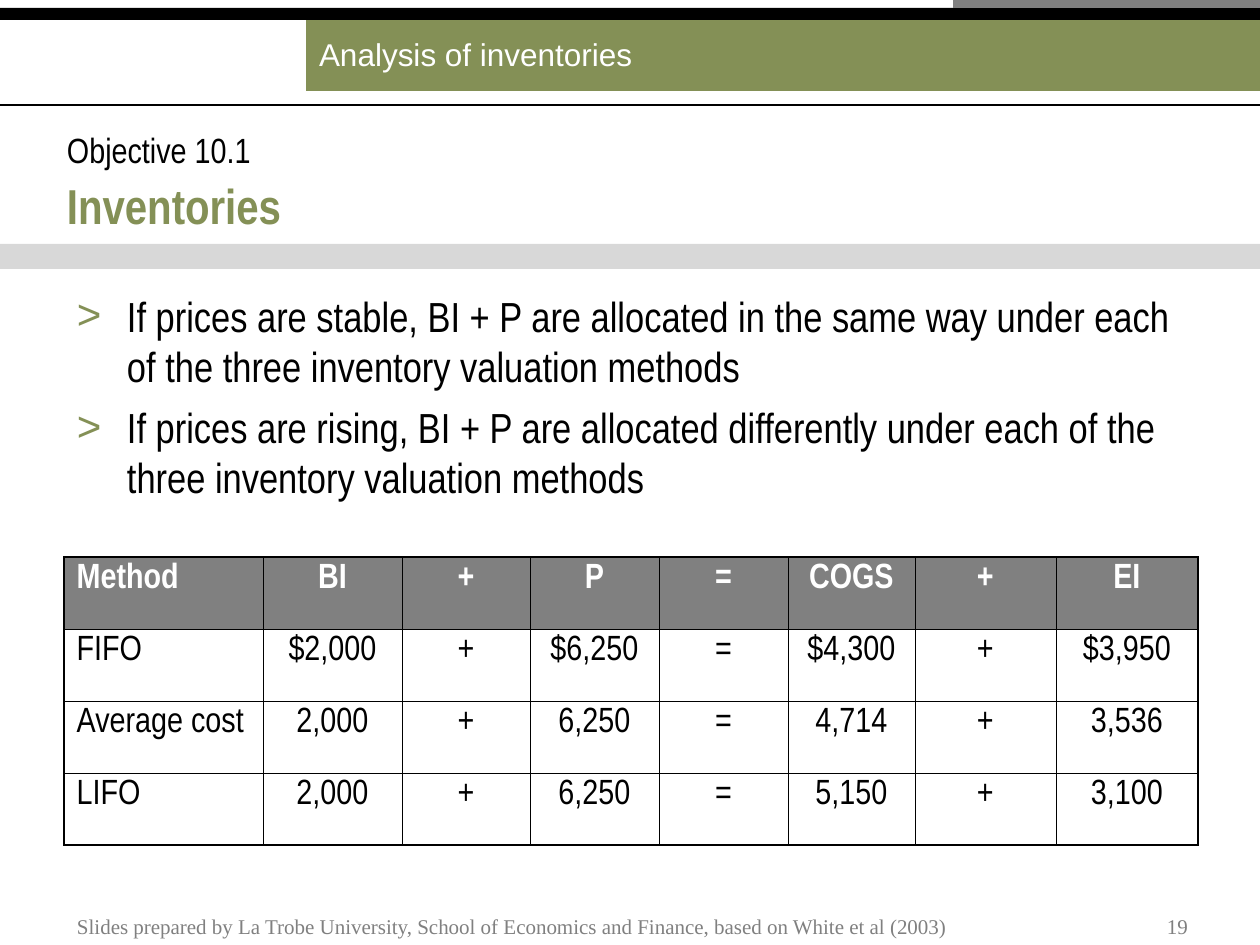
from lxml.etree import SubElement
from pptx import Presentation
from pptx.dml.color import RGBColor
from pptx.enum.shapes import MSO_CONNECTOR, MSO_SHAPE
from pptx.enum.text import MSO_ANCHOR, MSO_AUTO_SIZE, PP_ALIGN
from pptx.oxml.ns import qn
from pptx.util import Emu, Pt

COLORS = {"olive": "849056", "grey": "808080", "black": "000000", "white": "FFFFFF"}
NARROW, SANS, SERIF = "Arial Narrow", "Arial", "Times New Roman"
OUTER, INNER = 1.08, 0.45


def px(n):
    return Emu(round(n * 914400 / 126))


def rgb(name):
    return RGBColor.from_string(COLORS[name])


class SlideBuilder:
    def __init__(self, slide):
        self.slide = slide

    def place(self, sp, x, y, w, h):
        sp.left, sp.top, sp.width, sp.height = px(x), px(y), px(w), px(h)

    def style(self, p, font, size, color, bold=False, align=PP_ALIGN.LEFT):
        p.alignment = align
        for r in p.runs:
            r.font.name, r.font.size, r.font.bold = font, Pt(size), bold
            r.font.color.rgb = rgb(color)

    def frame(self, tf, inset, anchor):
        tf.word_wrap = True
        tf.auto_size = MSO_AUTO_SIZE.NONE
        tf.vertical_anchor = anchor
        tf.margin_left = tf.margin_right = px(inset[0])
        tf.margin_top = tf.margin_bottom = px(inset[1])

    def rect(self, x, y, w, h, color, alpha=None):
        sp = self.slide.shapes.add_shape(MSO_SHAPE.RECTANGLE, px(x), px(y), px(w), px(h))
        sp.shadow.inherit = False
        sp.fill.solid()
        sp.fill.fore_color.rgb = rgb(color)
        sp.line.fill.background()
        if alpha:
            clr = sp._element.spPr.find(qn("a:solidFill"))[0]
            SubElement(clr, qn("a:alpha"), val=str(alpha * 1000))
        return sp

    def line(self, x1, x2, y, color, width):
        cn = self.slide.shapes.add_connector(MSO_CONNECTOR.STRAIGHT, px(x1), px(y), px(x2), px(y))
        cn.line.color.rgb = rgb(color)
        cn.line.width = Pt(width)
        SubElement(cn._element.spPr, qn("a:effectLst"))

    def label(self, sp, text, *style, inset=(13, 6), anchor=MSO_ANCHOR.MIDDLE, **kw):
        tf = sp.text_frame
        self.frame(tf, inset, anchor)
        tf.text = text
        self.style(tf.paragraphs[0], *style, **kw)

    def text(self, x, y, w, h, text, *style, **kw):
        sp = self.slide.shapes.add_textbox(px(x), px(y), px(w), px(h))
        self.label(sp, text, *style, **kw)

    def title(self, x, y, w, h, text, *style, **kw):
        sp = self.slide.shapes.title
        self.place(sp, x, y, w, h)
        self.label(sp, text, *style, **kw)

    def bullets(self, x, y, w, h, items, *style):
        sp = self.slide.placeholders[1]
        self.place(sp, x, y, w, h)
        tf = sp.text_frame
        self.frame(tf, (13, 6), MSO_ANCHOR.TOP)
        for i, item in enumerate(items):
            p = tf.add_paragraph() if i else tf.paragraphs[0]
            p.text = item
            p.space_before = Pt(6 if i else 0)
            pPr = p._p.get_or_add_pPr()
            pPr.set("marL", str(px(50)))
            pPr.set("indent", str(-px(50)))
            SubElement(SubElement(pPr, qn("a:buClr")), qn("a:srgbClr"), val=COLORS["olive"])
            SubElement(pPr, qn("a:buFont"), typeface=SANS)
            SubElement(pPr, qn("a:buChar"), char=">")
            self.style(p, *style)

    def borders(self, cell, widths):
        tcPr = cell._tc.get_or_add_tcPr()
        for i, (side, width) in enumerate(widths.items()):
            ln = tcPr.makeelement(qn(f"a:ln{side}"), {"w": str(Pt(width))})
            fill = SubElement(ln, qn("a:solidFill"))
            SubElement(fill, qn("a:srgbClr"), val=COLORS["black"])
            tcPr.insert(i, ln)

    def table(self, x, y, cols, row_h, rows):
        last_r, last_c = len(rows) - 1, len(cols) - 1
        tbl = self.slide.shapes.add_table(
            len(rows), len(cols), px(x), px(y), px(sum(cols)), px(row_h * len(rows))).table
        tbl.first_row = tbl.horz_banding = False
        for col, w in zip(tbl.columns, cols):
            col.width = px(w)
        for i, values in enumerate(rows):
            tbl.rows[i].height = px(row_h)
            for j, value in enumerate(values):
                cell = tbl.cell(i, j)
                cell.text = value
                if i == 0:
                    cell.fill.solid()
                    cell.fill.fore_color.rgb = rgb("grey")
                else:
                    cell.fill.background()
                self.style(cell.text_frame.paragraphs[0], NARROW, 20,
                           "black" if i else "white", bold=i == 0,
                           align=PP_ALIGN.CENTER if j else PP_ALIGN.LEFT)
                self.borders(cell, {
                    "L": INNER if j else OUTER,
                    "R": OUTER if j == last_c else INNER,
                    "T": INNER if i else OUTER,
                    "B": OUTER if i == last_r else INNER,
                })


def main():
    prs = Presentation()
    prs.slide_width, prs.slide_height = px(1260), px(945)
    s = SlideBuilder(prs.slides.add_slide(prs.slide_layouts[1]))

    s.rect(0, 244, 1260, 25, "grey", alpha=30)
    header = s.rect(306, 16, 954, 75, "olive")
    s.label(header, "Analysis of inventories", SANS, 18, "white")
    s.rect(0, 8, 1260, 12, "black")
    s.line(953, 1260, 4, "grey", 5)
    s.line(0, 1260, 105, "black", 0.75)

    s.text(64, 134, 1142, 30, "Objective 10.1", NARROW, 20, "black", inset=(3, 0))
    s.title(64, 185, 1142, 39, "Inventories", NARROW, 28, "olive", bold=True, inset=(3, 0))
    s.bullets(64, 284, 1134, 238, [
        "If prices are stable, BI + P are allocated in the same way under each of the three inventory valuation methods",
        "If prices are rising, BI + P are allocated differently under each of the three inventory valuation methods",
    ], NARROW, 24, "black")

    entries = [
        ("Method", "BI", "P", "COGS", "EI"),
        ("FIFO", "$2,000", "$6,250", "$4,300", "$3,950"),
        ("Average cost", "2,000", "6,250", "4,714", "3,536"),
        ("LIFO", "2,000", "6,250", "5,150", "3,100"),
    ]
    rows = [(method, bi, "+", p, "=", cogs, "+", ei) for method, bi, p, cogs, ei in entries]
    s.table(64, 557, [199, 139, 128, 129, 129, 127, 141, 142], 72, rows)

    s.text(64, 890, 1042, 55,
           "Slides prepared by La Trobe University, School of Economics and Finance, based on White et al (2003)",
           SERIF, 12, "grey", anchor=MSO_ANCHOR.BOTTOM)
    s.text(1113, 900, 88, 45, "19", SERIF, 12, "grey",
           anchor=MSO_ANCHOR.BOTTOM, align=PP_ALIGN.RIGHT)
    prs.save("out.pptx")


if __name__ == "__main__":
    main()
